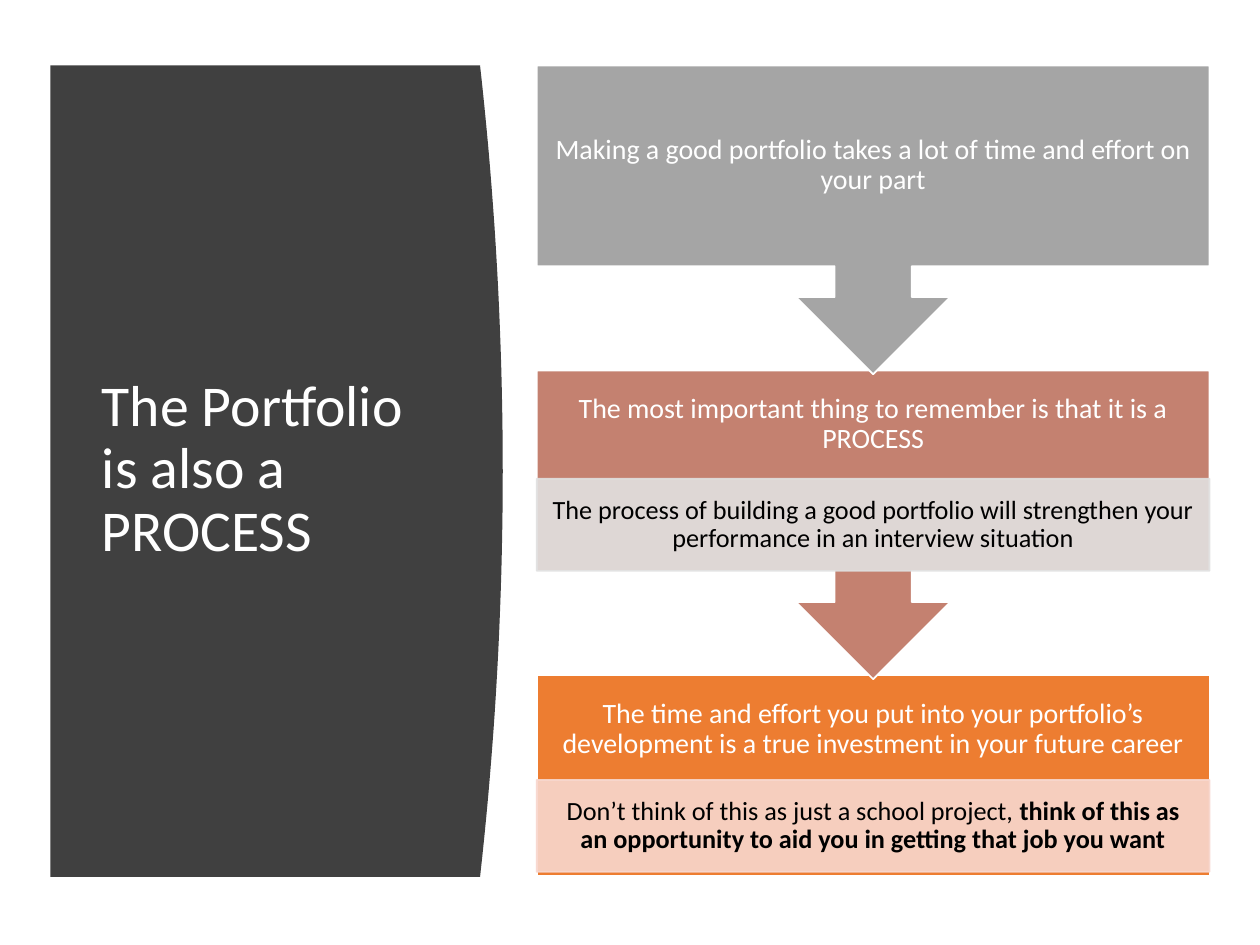
from dataclasses import dataclass

import pptx
import pptx.dml.color
import pptx.enum.shapes
import pptx.enum.text
import pptx.oxml.ns
import pptx.util
from lxml import etree
from pptx.util import Inches

SHAPE = pptx.enum.shapes.MSO_SHAPE


@dataclass(frozen=True)
class Theme:
    """Colours, font and type sizes of the slide."""
    font: str = "Calibri"
    panel: str = "404040"
    light: str = "FFFFFF"
    dark: str = "000000"
    title_size: int = 33
    heading_size: int = 16
    detail_size: int = 15


THEME = Theme()
STAGES = [
    dict(color="A5A5A5", shape=SHAPE.UP_ARROW_CALLOUT, heading_height=1.59,
         heading="Making a good portfolio takes a lot of time and effort on your part"),
    dict(color="C48170", shape=SHAPE.UP_ARROW_CALLOUT, heading_height=0.86,
         heading="The most important thing to remember is that it is a PROCESS",
         detail=[("The process of building a good portfolio will strengthen your "
                  "performance in an interview situation", False)],
         detail_color="E1E1E1", detail_offset=0.86),
    dict(color="ED7D31", shape=SHAPE.RECTANGLE, heading_height=0.86,
         heading="The time and effort you put into your portfolio’s development "
                 "is a true investment in your future career",
         detail=[("Don’t think of this as just a school project, ", False),
                 ("think of this as an opportunity to aid you in getting that job "
                  "you want", True)],
         detail_color="F8D7CE", detail_offset=0.83),
]


def rgb(color):
    """Return a colour object for a hex string."""
    return pptx.dml.color.RGBColor.from_string(color)


def paint(shape, fill, line=None, opacity=100):
    """Give a shape a flat fill, an optional 1 pt outline and an opacity."""
    shape.shadow.inherit = False
    shape.fill.solid()
    shape.fill.fore_color.rgb = rgb(fill)
    if line is None:
        shape.line.fill.background()
    else:
        shape.line.color.rgb = rgb(line)
        shape.line.width = pptx.util.Pt(1)
    if opacity < 100:
        tag = pptx.oxml.ns.qn("a:srgbClr")
        for color in shape.fill._xPr.iter(tag):
            etree.SubElement(color, pptx.oxml.ns.qn("a:alpha"), val=str(opacity * 1000))


def write(shape, runs, size, color, align, inset_x, inset_y):
    """Write one vertically centred paragraph of (text, bold) runs."""
    frame = shape.text_frame
    frame_format = dict(
        word_wrap=True, vertical_anchor=pptx.enum.text.MSO_ANCHOR.MIDDLE,
        margin_left=Inches(inset_x), margin_right=Inches(inset_x),
        margin_top=Inches(inset_y), margin_bottom=Inches(inset_y))
    for name, value in frame_format.items():
        setattr(frame, name, value)
    paragraph = frame.paragraphs[0]
    paragraph.alignment = align
    paragraph.line_spacing = 0.9
    for text, bold in runs:
        run = paragraph.add_run()
        run.text = text
        run_format = dict(name=THEME.font, size=pptx.util.Pt(size), bold=bold)
        for name, value in run_format.items():
            setattr(run.font, name, value)
        run.font.color.rgb = rgb(color)


def add_title_panel(slide, left, top, width, height, bulge=0.18, steps=40):
    """Draw the dark panel with its bowed right edge and the title."""
    edge = left + width - bulge
    curve = []
    for step in range(steps + 1):
        t = step / steps
        curve.append((Inches(edge + bulge * 4 * t * (1 - t)), Inches(top + height * t)))
    outline = slide.shapes.build_freeform(Inches(left), Inches(top))
    outline.add_line_segments(curve + [(Inches(left), Inches(top + height))], close=True)
    paint(outline.convert_to_shape(), THEME.panel)
    title = slide.shapes.add_textbox(
        Inches(left + 0.31), Inches(top + 0.59), Inches(2.8), Inches(height - 1.2))
    write(title, [("The Portfolio is also a PROCESS", False)], THEME.title_size,
          THEME.light, pptx.enum.text.PP_ALIGN.LEFT, 0.1, 0.05)


def add_stage(slide, stage, left, top, width, height):
    """Draw one stage: its block, heading and optional detail band."""
    center = pptx.enum.text.PP_ALIGN.CENTER
    block = slide.shapes.add_shape(
        stage["shape"], Inches(left), Inches(top), Inches(width), Inches(height))
    paint(block, stage["color"], THEME.light)
    if stage["shape"] == SHAPE.UP_ARROW_CALLOUT:
        block.rotation = 180
    heading = slide.shapes.add_textbox(
        Inches(left), Inches(top), Inches(width), Inches(stage["heading_height"]))
    write(heading, [(stage["heading"], False)], THEME.heading_size, THEME.light,
          center, 0.12, 0.12)
    if "detail" in stage:
        band = slide.shapes.add_shape(
            SHAPE.RECTANGLE, Inches(left), Inches(top + stage["detail_offset"]),
            Inches(width), Inches(0.73))
        paint(band, stage["detail_color"], stage["detail_color"], opacity=90)
        write(band, stage["detail"], THEME.detail_size, THEME.dark, center, 0.12, 0.02)


def add_process(slide, left, top, width, height, step=2.42, callout_height=2.45):
    """Stack the stages from last to first so each arrow overlaps the next block."""
    for index, stage in reversed(list(enumerate(STAGES))):
        is_last = index == len(STAGES) - 1
        stage_height = height - index * step if is_last else callout_height
        add_stage(slide, stage, left, top + index * step, width, stage_height)


def main():
    """Build and save the slide."""
    deck = pptx.Presentation()
    deck.slide_width, deck.slide_height = Inches(10), Inches(7.5)
    slide = deck.slides.add_slide(deck.slide_layouts[6])
    add_title_panel(slide, 0.4, 0.52, 3.59, 6.44)
    add_process(slide, 4.26, 0.52, 5.34, 6.43)
    deck.save("out.pptx")


if __name__ == "__main__":
    main()
